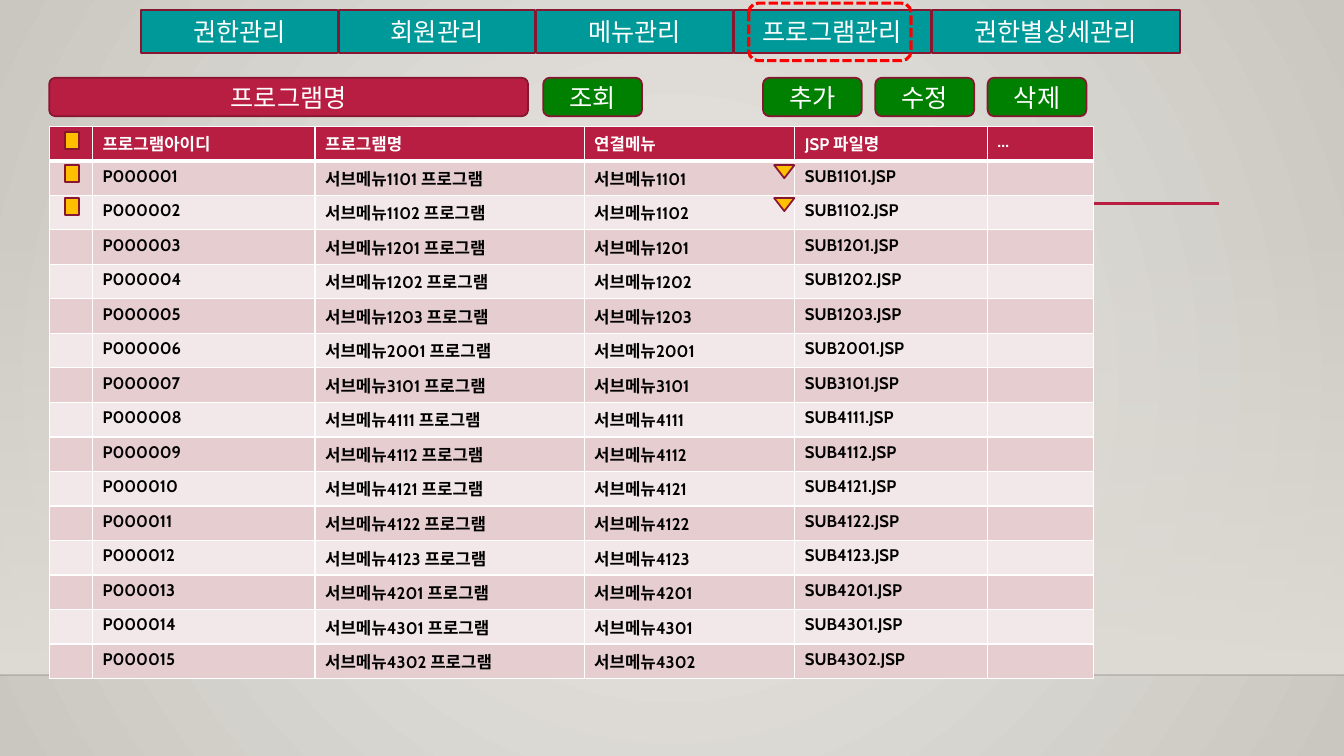
from lxml import etree
from pptx import Presentation
from pptx.dml.color import RGBColor
from pptx.enum.dml import MSO_LINE
from pptx.enum.shapes import MSO_CONNECTOR, MSO_SHAPE
from pptx.enum.text import MSO_ANCHOR, PP_ALIGN
from pptx.oxml.ns import qn
from pptx.util import Cm, Pt

RECT = MSO_SHAPE.RECTANGLE
ROUNDED = MSO_SHAPE.ROUNDED_RECTANGLE
TRIANGLE = MSO_SHAPE.ISOSCELES_TRIANGLE
STRAIGHT = MSO_CONNECTOR.STRAIGHT
DASH = MSO_LINE.SQUARE_DOT
CENTER = PP_ALIGN.CENTER
MIDDLE = MSO_ANCHOR.MIDDLE

FONT = "Cabin"
WHITE = RGBColor(0xFF, 0xFF, 0xFF)
BLACK = RGBColor(0, 0, 0)
NEAR_BLACK = RGBColor(0, 0, 1)
CRIMSON = RGBColor(0xB7, 0x1E, 0x42)
DARK_CRIMSON = RGBColor(0x87, 0x16, 0x31)
TEAL = RGBColor(0, 0x99, 0x99)
GREEN = RGBColor(0, 0x80, 0)
AMBER = RGBColor(0xFF, 0xC0, 0)
RED = RGBColor(0xFF, 0, 0)
BAND_DARK = RGBColor(0xE6, 0xCD, 0xCF)
BAND_LIGHT = RGBColor(0xF3, 0xE8, 0xE9)
WALL_CENTER = RGBColor(0xEC, 0xEA, 0xE7)
WALL_EDGE = RGBColor(0xCA, 0xC7, 0xC1)
FLOOR = RGBColor(0xDF, 0xDB, 0xD5)

SLIDE_WIDTH, SLIDE_HEIGHT = 33.87, 19.05
TABS = ["권한관리", "회원관리", "메뉴관리", "프로그램관리", "권한별상세관리"]
ACTIONS = ["추가", "수정", "삭제"]
HEADERS = ["", "프로그램아이디", "프로그램명", "연결메뉴", "JSP 파일명", "…"]
MENU_CODES = [1101, 1102, 1201, 1202, 1203, 2001, 3101, 4111,
              4112, 4121, 4122, 4123, 4201, 4301, 4302]
COLUMN_WIDTHS = [1.09, 5.61, 6.78, 5.31, 4.85, 2.67]
ROW_HEIGHT = 0.87
MARK_STEP = 0.83


def set_alpha(color_format_parent, percent):
    """Make the colour below an XML element partly transparent."""
    color = color_format_parent.find(".//" + qn("a:srgbClr"))
    etree.SubElement(color, qn("a:alpha"), val=str(percent * 1000))


def style_text(paragraph, size, color, bold=False):
    """Format every run of a paragraph."""
    for run in paragraph.runs:
        run.font.name = FONT
        run.font.size = Pt(size)
        run.font.bold = bold
        run.font.color.rgb = color


def set_gradient(fill, first, last):
    """Give a fill a two-colour gradient and return its XML element."""
    fill.gradient()
    for stop, color, position in zip(fill.gradient_stops, (first, last), (0, 1)):
        stop.color.rgb = color
        stop.position = position
    return fill._fill._gradFill


def paint_wall(slide):
    """Give the background a round gradient from its centre."""
    gradient = set_gradient(slide.background.fill, WALL_CENTER, WALL_EDGE)
    gradient.remove(gradient.find(qn("a:lin")))
    circle = etree.SubElement(gradient, qn("a:path"), path="circle")
    etree.SubElement(circle, qn("a:fillToRect"),
                     l="50000", t="50000", r="50000", b="50000")


def add_haze(slide):
    """Add the band that fades in down to the floor line."""
    haze = slide.shapes.add_shape(RECT, 0, Cm(5.61), Cm(SLIDE_WIDTH), Cm(11.4))
    haze.shadow.inherit = False
    haze.line.fill.background()
    gradient = set_gradient(haze.fill, FLOOR, FLOOR)
    gradient.find(qn("a:lin")).set("ang", "5400000")
    set_alpha(gradient, 0)


def add_rule(slide, left, right, y, color, width):
    """Add a horizontal line without a shadow."""
    rule = slide.shapes.add_connector(STRAIGHT, Cm(left), Cm(y), Cm(right), Cm(y))
    rule.line.color.rgb = color
    rule.line.width = Pt(width)
    etree.SubElement(rule._element.spPr, qn("a:effectLst"))
    return rule


def add_box(slide, kind, left, top, width, height, fill, label=""):
    """Add an outlined shape with an optional centred label."""
    box = slide.shapes.add_shape(kind, Cm(left), Cm(top), Cm(width), Cm(height))
    box.shadow.inherit = False
    box.fill.solid()
    box.fill.fore_color.rgb = fill
    box.line.color.rgb = DARK_CRIMSON
    box.line.width = Pt(1.25)
    if label:
        box.text_frame.text = label
        box.text_frame.vertical_anchor = MIDDLE
        paragraph = box.text_frame.paragraphs[0]
        paragraph.alignment = CENTER
        style_text(paragraph, 18, WHITE)
    return box


def add_highlight(slide):
    """Add the dashed frame around the current tab."""
    frame = add_box(slide, ROUNDED, 18.87, 0.08, 4.09, 1.45, RED)
    frame.fill.background()
    frame.line.color.rgb = RED
    frame.line.width = Pt(2.25)
    frame.line.dash_style = DASH


def set_borders(cell, bottom_width):
    """Draw white borders around a cell."""
    properties = cell._tc.get_or_add_tcPr()
    widths = {"a:lnL": 1, "a:lnR": 1, "a:lnT": 1, "a:lnB": bottom_width}
    for index, (side, width) in enumerate(widths.items()):
        border = etree.Element(qn(side), w=str(Pt(width)))
        solid = etree.SubElement(border, qn("a:solidFill"))
        etree.SubElement(solid, qn("a:srgbClr"), val=str(WHITE))
        properties.insert(index, border)


def fill_cell(cell, text, fill, color, bottom_width):
    """Write and format one table cell."""
    cell.text = text
    cell.fill.solid()
    cell.fill.fore_color.rgb = fill
    set_borders(cell, bottom_width)
    paragraph = cell.text_frame.paragraphs[0]
    style_text(paragraph, 12, color, bold=True)
    if not text:
        etree.SubElement(paragraph._p, qn("a:endParaRPr"), sz="1200")


def add_program_table(slide):
    """Add the list of programs with their menus and files."""
    programs = [["", f"P{number:06}", f"서브메뉴{code} 프로그램",
                 f"서브메뉴{code}", f"SUB{code}.JSP", ""]
                for number, code in enumerate(MENU_CODES, 1)]
    rows = [HEADERS] + programs
    table = slide.shapes.add_table(
        len(rows), len(HEADERS), Cm(1.24), Cm(3.18),
        Cm(sum(COLUMN_WIDTHS)), Cm(ROW_HEIGHT * len(rows))).table
    for column, width in zip(table.columns, COLUMN_WIDTHS):
        column.width = Cm(width)
    for index, texts in enumerate(rows):
        table.rows[index].height = Cm(ROW_HEIGHT)
        band = BAND_DARK if index % 2 else BAND_LIGHT
        look = (band, BLACK, 1) if index else (CRIMSON, WHITE, 3)
        for cell, text in zip(table.rows[index].cells, texts):
            fill_cell(cell, text, *look)


def main():
    """Build the program management screen."""
    presentation = Presentation()
    presentation.slide_width = Cm(SLIDE_WIDTH)
    presentation.slide_height = Cm(SLIDE_HEIGHT)
    slide = presentation.slides.add_slide(presentation.slide_layouts[6])

    paint_wall(slide)
    add_haze(slide)
    floor_line = add_rule(slide, 0, SLIDE_WIDTH, 17.01, NEAR_BLACK, 1)
    set_alpha(floor_line.line._ln, 20)
    add_rule(slide, 4.04, 30.73, 5.13, CRIMSON, 2.5)

    for index, label in enumerate(TABS):
        width = 6.25 if label == TABS[-1] else 4.95
        add_box(slide, RECT, 3.56 + 4.98 * index, 0.25, width, 1.09, TEAL, label)
    add_highlight(slide)
    add_program_table(slide)

    add_box(slide, ROUNDED, 1.24, 1.96, 12.07, 0.97, CRIMSON, "프로그램명")
    add_box(slide, ROUNDED, 13.69, 1.96, 2.49, 0.97, GREEN, "조회")
    for index, label in enumerate(ACTIONS):
        add_box(slide, ROUNDED, 19.23 + 2.83 * index, 1.96, 2.49, 0.97, GREEN, label)

    for index in range(3):
        add_box(slide, RECT, 1.63, 3.33 + MARK_STEP * index, 0.36, 0.43, AMBER)
    for index in range(2):
        arrow = add_box(slide, TRIANGLE, 19.51, 4.16 + MARK_STEP * index,
                        0.51, 0.33, AMBER)
        arrow.rotation = 180

    presentation.save("out.pptx")


main()
